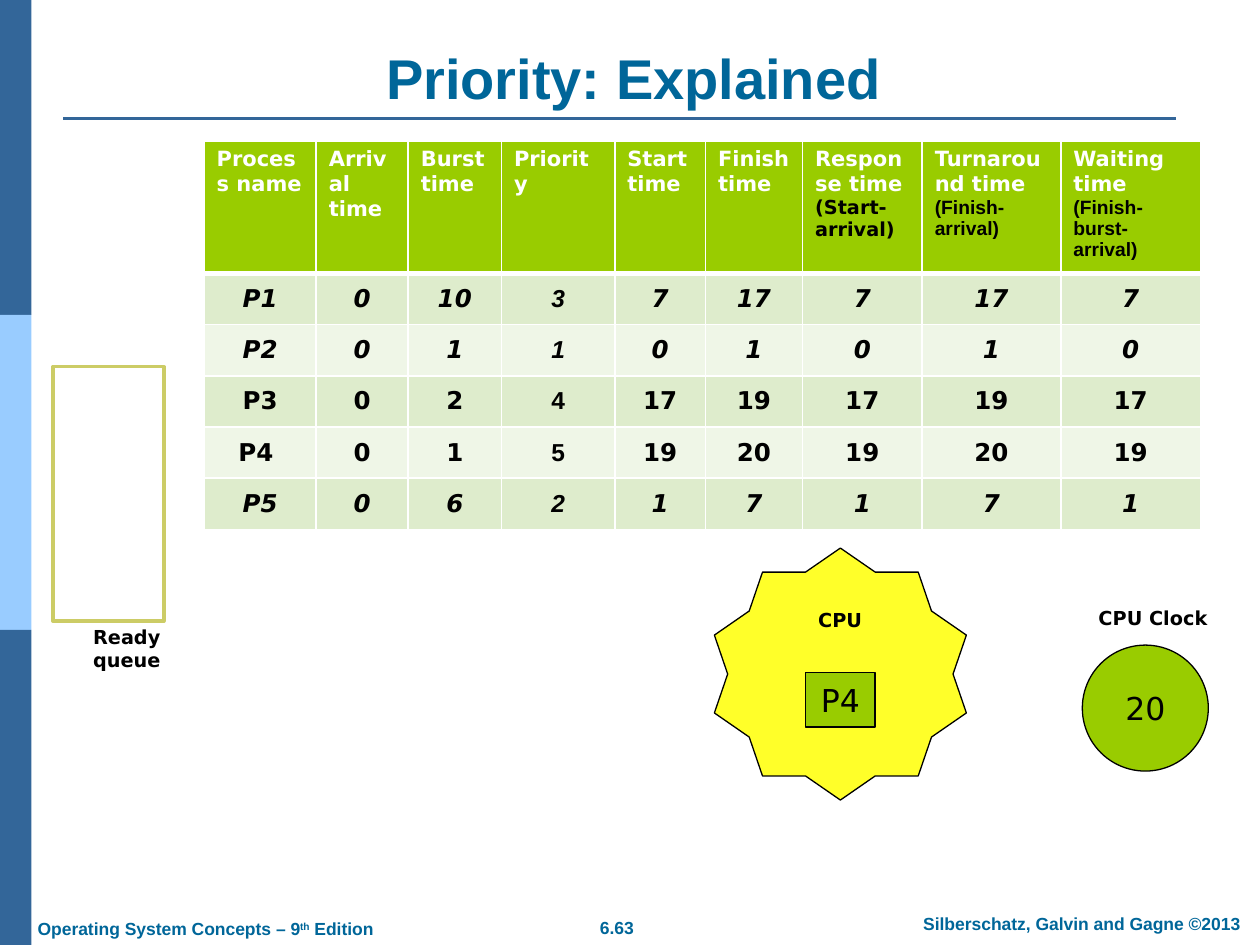
from lxml import etree
from pptx import Presentation, util as u
from pptx.dml.color import RGBColor
from pptx.enum import shapes, text
from pptx.oxml import ns

COLS, ROWS = 40, 30
WIDE, HIGH = u.Inches(10), u.Inches(7.5)
SANS, DEJA = "Arial", "DejaVu Sans"
BLUE, SKY, TEAL, LIME = "336699", "99CCFF", "006699", "99CC00"
BLACK, WHITE = "000000", "FFFFFF"
KIND, ALIGN, ANCHOR = shapes.MSO_SHAPE, text.PP_ALIGN, text.MSO_ANCHOR

WIDTHS = [3.56, 2.92, 2.96, 3.6, 2.88, 3.08, 3.8, 4.4, 4.44]
HEADS = [
    ["Process name"], ["Arrival time"], ["Burst time"], ["Priority"],
    ["Start time"], ["Finish time"], ["Response time", "(Start-arrival)"],
    ["Turnaround time", "(Finish-arrival)"],
    ["Waiting time", "(Finish-burst-arrival)"],
]
TASKS = [
    ["P1", 0, 10, 3, 7, 17, 7, 17, 7],
    ["P2", 0, 1, 1, 0, 1, 0, 1, 0],
    ["P3", 0, 2, 4, 17, 19, 17, 19, 17],
    ["P4 ", 0, 1, 5, 19, 20, 19, 20, 19],
    ["P5", 0, 6, 2, 1, 7, 1, 7, 1],
]
SLANT = {"P1", "P2", "P5"}


def tint(code):
    """Turn a hex string into a colour."""
    return RGBColor.from_string(code)


def across(n):
    """Length of n grid columns."""
    return u.Emu(round(WIDE * n / COLS))


def down(n):
    """Length of n grid rows."""
    return u.Emu(round(HIGH * n / ROWS))


def place(box):
    """Turn a grid box into slide lengths."""
    x, y, w, h = box
    return across(x), down(y), across(w), down(h)


def style(par, size, font=DEJA, color=BLACK, bold=True, slant=False, align=ALIGN.CENTER):
    """Set the font and alignment of a paragraph."""
    par.alignment = align
    face = par.font
    face.size, face.name, face.bold, face.italic = u.Pt(size), font, bold, slant
    face.color.rgb = tint(color)


def label(slide, box, words, size, wrap=False, anchor=ANCHOR.TOP, **look):
    """Add a text box with one styled paragraph."""
    frame = slide.shapes.add_textbox(*place(box)).text_frame
    frame.word_wrap, frame.vertical_anchor = wrap, anchor
    par = frame.paragraphs[0]
    for i, part in enumerate(words.split("^")):
        run = par.add_run()
        run.text = part
        if i == 1:
            run.font._element.set("baseline", "30000")
    style(par, size, **look)


def block(slide, kind, box, fill, line=None, width=0.75, words=""):
    """Add a filled shape, with an outline and text if given."""
    shape = slide.shapes.add_shape(kind, *place(box))
    shape.shadow.inherit = False
    shape.fill.solid()
    shape.fill.fore_color.rgb = tint(fill)
    if line:
        shape.line.color.rgb = tint(line)
        shape.line.width = u.Pt(width)
    else:
        shape.line.fill.background()
    if words:
        frame = shape.text_frame
        frame.word_wrap, frame.vertical_anchor = False, ANCHOR.MIDDLE
        frame.text = words
        style(frame.paragraphs[0], 18, bold=False)


def border(cell, base):
    """Draw white borders on a cell, the lower one base points wide."""
    props = cell._tc.get_or_add_tcPr()
    for i, side in enumerate("LRTB"):
        edge = etree.Element(ns.qn("a:ln" + side), w=str(u.Pt(base if side == "B" else 1)))
        fill = etree.SubElement(edge, ns.qn("a:solidFill"))
        etree.SubElement(fill, ns.qn("a:srgbClr"), val=WHITE)
        props.insert(i, edge)


def paint(cell, fill, base=1):
    """Fill a cell and draw its borders."""
    cell.fill.solid()
    cell.fill.fore_color.rgb = tint(fill)
    border(cell, base)


def stripe(slide, box):
    """Stack three colour bands down the side."""
    x, y, w, h = box
    for i, fill in enumerate([BLUE, SKY, BLUE]):
        block(slide, KIND.RECTANGLE, (x, y + i * h / 3, w, h / 3), fill)


def header(slide, box):
    """Place the title and the rule below it."""
    x, y, w, h = box
    label(slide, box, "Priority: Explained", 32, wrap=True,
          anchor=ANCHOR.BOTTOM, font=SANS, color=TEAL)
    level = down(y + h + 0.04)
    rule = slide.shapes.add_connector(
        shapes.MSO_CONNECTOR.STRAIGHT, across(2), level, across(37.32), level)
    rule.line.color.rgb = tint(BLUE)
    rule.line.width = u.Pt(1.5)
    etree.SubElement(rule._element.spPr, ns.qn("a:effectLst"))


def footer(slide, box):
    """Place the book, page and author lines."""
    x, y, w, h = box
    look = dict(font=SANS, color=TEAL)
    label(slide, (x, y + 0.16, 11.56, h), "Operating System Concepts – 9^th^ Edition",
          10, align=ALIGN.LEFT, **look)
    label(slide, (x + 17.8, y + 0.12, 1.96, h), "6.63", 10, **look)
    label(slide, (x + w - 11.88, y, 11.88, h), "Silberschatz, Galvin and Gagne ©2013",
          10, wrap=True, **look)


def schedule(slide, box):
    """Build the table of processes and their times."""
    grid = slide.shapes.add_table(len(TASKS) + 1, len(WIDTHS), *place(box)).table
    top, rest = 4.08, (box[3] - 4.08) / len(TASKS)
    for i, row in enumerate(grid.rows):
        row.height = down(rest if i else top)
    for col, width in zip(grid.columns, WIDTHS):
        col.width = across(width)
    for j, lines in enumerate(HEADS):
        cell = grid.cell(0, j)
        paint(cell, LIME, 3)
        cell.text = "\n".join(lines)
        name, *notes = cell.text_frame.paragraphs
        style(name, 12, color=WHITE, align=ALIGN.LEFT)
        for note in notes:
            style(note, 11, font=SANS if j > 6 else DEJA, align=ALIGN.LEFT)
    for i, task in enumerate(TASKS, 1):
        for j, value in enumerate(task):
            cell = grid.cell(i, j)
            paint(cell, "DEECCC" if i % 2 else "EFF6E7")
            cell.vertical_anchor = ANCHOR.MIDDLE
            cell.text = str(value)
            style(cell.text_frame.paragraphs[0], 14, font=SANS if j == 3 else DEJA,
                  slant=task[0] in SLANT)


def queue(slide, box):
    """Draw the empty ready queue and its name."""
    x, y, w, h = box
    block(slide, KIND.RECTANGLE, box, WHITE, "CCCC66", 2)
    label(slide, (x + 0.88, y + h - 0.08, 5.28, 1.16), "Ready queue", 11, align=ALIGN.LEFT)


def cpu(slide, box):
    """Draw the processor star with its running process."""
    x, y, w, h = box
    mid = x + w / 2 - 1.1
    block(slide, KIND.STAR_10_POINT, box, "FFFF29", BLACK)
    label(slide, (mid, y + 1.72, 2.2, 1.16), "CPU", 11, align=ALIGN.LEFT)
    block(slide, KIND.RECTANGLE, (mid, y + 3.96, 2.2, 1.72), LIME, BLACK, words="P4")


def clock(slide, box):
    """Draw the clock dial and its name."""
    x, y, w, h = box
    block(slide, KIND.OVAL, box, LIME, BLACK, words="20")
    label(slide, (x + 0.12, y - 1.44, 4.28, 1.16), "CPU Clock", 11, align=ALIGN.LEFT)


def main():
    """Build the slide and save it."""
    deck = Presentation()
    deck.slide_width, deck.slide_height = WIDE, HIGH
    slide = deck.slides.add_slide(deck.slide_layouts[6])
    stripe(slide, (0, 0, 1, ROWS))
    header(slide, (3.52, 1.2, 33.2, 2.52))
    footer(slide, (0.8, 28.8, 39.48, 1.08))
    queue(slide, (1.68, 11.64, 3.52, 8.08))
    schedule(slide, (6.48, 4.48, sum(WIDTHS), 12.2))
    cpu(slide, (22.68, 17.4, 8, 8))
    clock(slide, (34.36, 20.48, 4, 4))
    deck.save("out.pptx")


if __name__ == "__main__":
    main()
